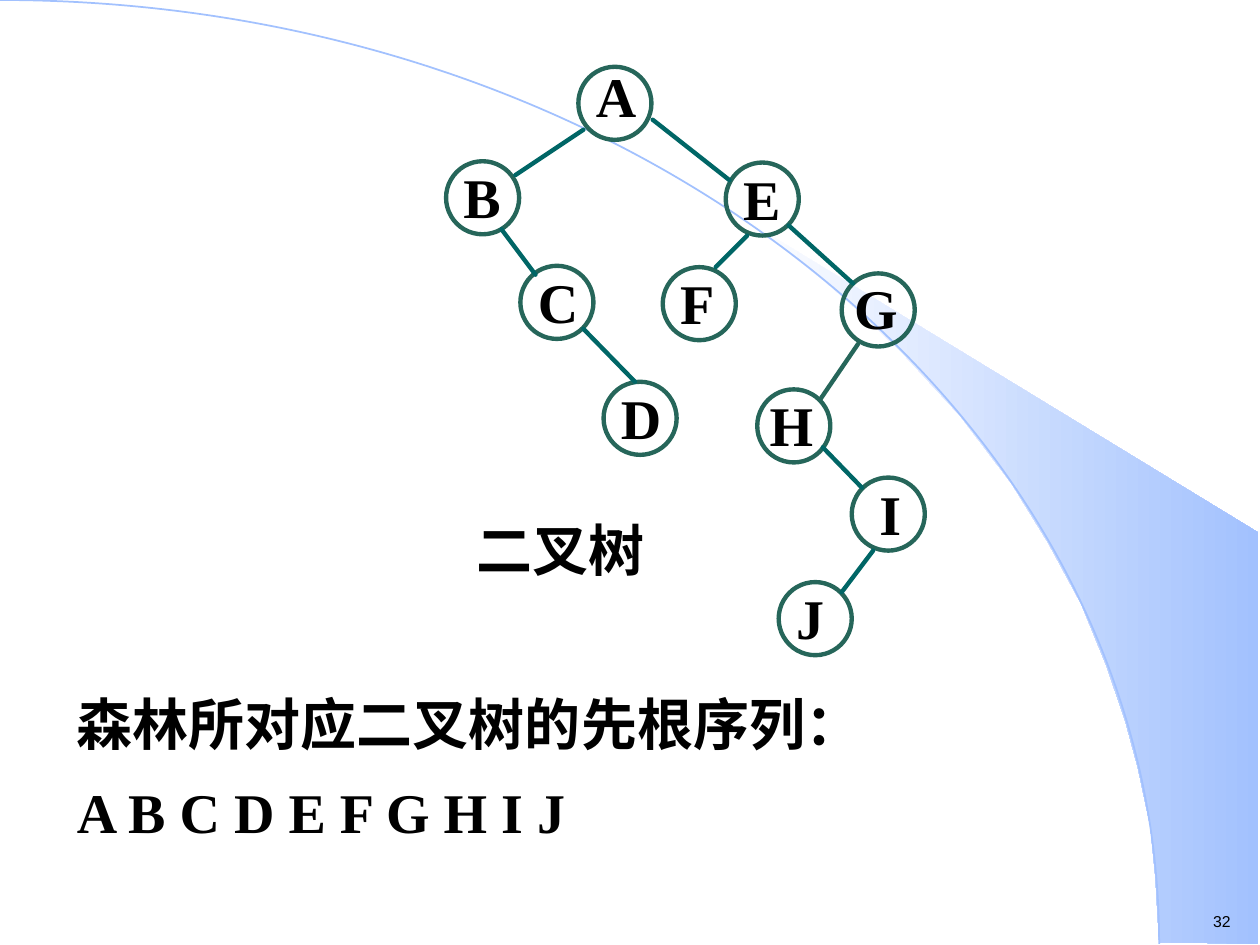
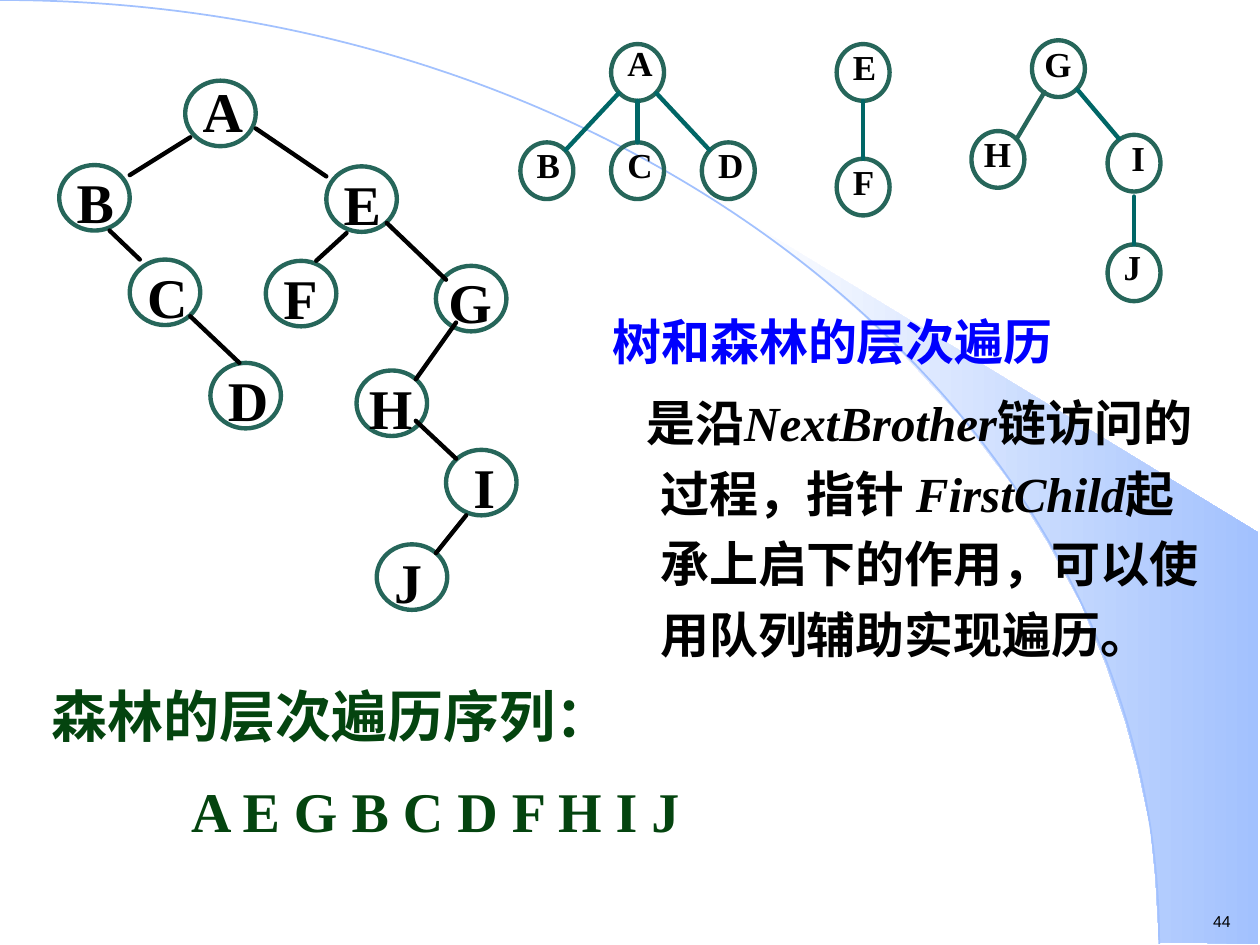
"""Build two slides on traversing a forest and its binary tree."""
from lxml import etree
from pptx import Presentation
from pptx.dml.color import RGBColor
from pptx.enum.shapes import MSO_CONNECTOR, MSO_SHAPE
from pptx.enum.text import MSO_ANCHOR, MSO_AUTO_SIZE
from pptx.oxml.ns import qn
from pptx.util import Inches, Pt

OVAL = MSO_SHAPE.OVAL
STRAIGHT = MSO_CONNECTOR.STRAIGHT
TOP = MSO_ANCHOR.TOP
FIXED = MSO_AUTO_SIZE.NONE

WHITE = RGBColor(0xFF, 0xFF, 0xFF)
BLACK = RGBColor(0, 0, 0)
SKY = RGBColor(0xA2, 0xC1, 0xFE)
RING = RGBColor(0x26, 0x66, 0x5A)
LINK = RGBColor(0, 0x66, 0x66)
BLUE = RGBColor(0, 0, 0xFF)
GREEN = RGBColor(0x04, 0x44, 0x0F)
SERIF = "Times New Roman"
SANS = "Arial"

CURVE = [(0, 0), (5.08, 0), (9.2, 3.35), (9.2, 7.49)]
BAND = [
    (9.2, 7.48), (9.99, 7.49), (9.99, 4.23), (5.89, 1.73), (6.24, 1.99),
    (6.53, 2.22), (6.85, 2.5), (7.16, 2.8), (7.62, 3.3), (8.03, 3.84),
    (8.32, 4.31), (8.58, 4.79), (8.78, 5.28), (8.93, 5.72), (9.03, 6.09),
    (9.13, 6.56), (9.17, 6.96)]

SHIFT = {"G": 0, "H": 0, "I": 3}
RAISE = {"G": 0.5}
SINGLE = "AG"

BINARY = {
    "size": (0.58, 0.58), "font": 32, "tall": 0.69, "colour": LINK,
    "shift": 0.04, "raise": 0.09,
    "nodes": {
        "A": (4.59, 0.53), "B": (3.54, 1.28), "C": (4.13, 2.11),
        "D": (4.79, 3.03), "E": (5.76, 1.29), "F": (5.26, 2.12),
        "G": (6.68, 2.17), "H": (6.01, 3.09), "I": (6.76, 3.79),
        "J": (6.18, 4.62)},
    "edges": {
        "AB": (4.63, 1.03, 4.09, 1.39), "BC": (3.98, 1.82, 4.25, 2.18),
        "CD": (4.63, 2.61, 5.04, 3.03), "AE": (5.18, 0.95, 5.79, 1.43),
        "EF": (5.93, 1.87, 5.68, 2.12), "EG": (6.26, 1.79, 6.77, 2.25),
        "GH": (6.81, 2.73, 6.51, 3.17), "HI": (6.53, 3.55, 6.84, 3.87),
        "IJ": (6.93, 4.37, 6.68, 4.7)}}

SMALLER = {
    "size": (0.56, 0.52), "font": 32, "tall": 0.69, "colour": BLACK,
    "shift": 0.04, "raise": 0.08,
    "nodes": {
        "A": (1.47, 0.64), "B": (0.47, 1.31), "C": (1.03, 2.06),
        "D": (1.67, 2.88), "E": (2.59, 1.32), "F": (2.11, 2.07),
        "G": (3.46, 2.11), "H": (2.83, 2.94), "I": (3.54, 3.57),
        "J": (2.99, 4.32)},
    "edges": {
        "AB": (1.51, 1.09, 1.03, 1.39), "BC": (0.87, 1.83, 1.11, 2.06),
        "CD": (1.51, 2.51, 1.9, 2.88), "AE": (2.03, 1.02, 2.59, 1.4),
        "EF": (2.75, 1.85, 2.51, 2.07), "EG": (3.07, 1.77, 3.54, 2.22),
        "GH": (3.62, 2.56, 3.3, 3.01), "HI": (3.3, 3.34, 3.62, 3.64),
        "IJ": (3.7, 4.09, 3.46, 4.39)}}

FOREST = {
    "size": (0.42, 0.45), "font": 20, "tall": 0.47, "colour": LINK,
    "shift": 0.03, "raise": 0.07,
    "nodes": {
        "A": (4.85, 0.35), "B": (4.13, 1.13), "C": (4.85, 1.13),
        "D": (5.57, 1.13), "E": (6.64, 0.35), "F": (6.64, 1.26),
        "G": (8.19, 0.32), "H": (7.71, 1.04), "I": (8.79, 1.07),
        "J": (8.79, 1.94)},
    "edges": {
        "AB": (4.91, 0.74, 4.49, 1.19), "AC": (5.06, 0.8, 5.06, 1.13),
        "AD": (5.21, 0.74, 5.63, 1.19), "EF": (6.85, 0.8, 6.85, 1.26),
        "GH": (8.29, 0.73, 8.07, 1.1), "GI": (8.55, 0.71, 8.88, 1.1),
        "IJ": (9, 1.56, 9, 1.94)}}

NOTE = [("是沿", False), ("NextBrother", True), ("链访问的过程，指针 ", False),
        ("FirstChild", True), ("起承上启下的作用，可以使用队列辅助实现遍历。", False)]

SLIDES = [
    {"page": "32", "trees": [BINARY],
     "body": {"at": (0.51, 5.48, 7.28, 1.38), "size": 32, "line": 0.9,
              "gap": 16, "top": 0.05,
              "paras": [("森林所对应二叉树的先根序列：", BLACK, 0, 0),
                        ("A B C D E F G H I J", BLACK, 0, 0)]},
     "label": {"at": (3.68, 4.04, 1.83, 0.63), "size": 32, "line": 1,
               "gap": 0, "top": 0.05,
               "paras": [("二叉树", BLACK, 0, 0)]}},
    {"page": "44", "trees": [SMALLER, FOREST],
     "body": {"at": (4.76, 1.78, 5, 4.06), "size": 28, "line": 1.2,
              "gap": 6, "top": 0.6,
              "paras": [("树和森林的层次遍历", BLUE, 0, 0),
                        (NOTE, BLACK, 0.38, -0.11)]},
     "label": {"at": (0.31, 5.36, 7.67, 1.43), "size": 32, "line": 1,
               "gap": 16, "top": 0.05,
               "paras": [("森林的层次遍历序列：", GREEN, 0, 0),
                         ("A E G B C D F H I J", GREEN, 1.11, 0)]}}]


def outline(slide, points, close):
    spots = [(Inches(x), Inches(y)) for x, y in points]
    pen = slide.shapes.build_freeform(*spots[0])
    pen.add_line_segments(spots[1:], close=close)
    shape = pen.convert_to_shape()
    shape.shadow.inherit = False
    return shape


def backdrop(slide):
    band = outline(slide, BAND, True)
    band.line.fill.background()
    band.fill.gradient()
    band.fill.gradient_angle = 0
    for stop, colour in zip(band.fill.gradient_stops, (WHITE, SKY)):
        stop.color.rgb = colour
    edge = outline(slide, CURVE, False)
    edge.fill.background()
    edge.line.color.rgb = SKY
    edge.line.width = Pt(1)
    lines = list(edge._element.iter(qn("a:lnTo")))
    bend = etree.SubElement(lines[0].getparent(), qn("a:cubicBezTo"))
    for line in lines:
        bend.append(line[0])
        line.getparent().remove(line)


def style(font, size, colour, name=SERIF, bold=True):
    font.name, font.size, font.bold = name, Pt(size), bold
    font.color.rgb = colour


def number(slide, page):
    box = slide.shapes.add_textbox(*map(Inches, (9.53, 7.19, 0.35, 0.25)))
    para = box.text_frame.paragraphs[0]
    para.text = page
    style(para.font, 9, BLACK, SANS, False)


def write(box, text):
    box.left, box.top, box.width, box.height = map(Inches, text["at"])
    frame = box.text_frame
    frame.word_wrap = True
    frame.auto_size = FIXED
    frame.vertical_anchor = TOP
    frame.margin_top = Inches(text["top"])
    for index, (words, colour, left, first) in enumerate(text["paras"]):
        para = frame.add_paragraph() if index else frame.paragraphs[0]
        props = para._p.get_or_add_pPr()
        props.set("marL", str(Inches(left)))
        props.set("indent", str(Inches(first)))
        etree.SubElement(props, qn("a:buNone"))
        para.line_spacing = text["line"]
        para.space_before = Pt(text["gap"] if index else 0)
        style(para.font, text["size"], colour)
        runs = [(words, False)] if isinstance(words, str) else words
        for part, slant in runs:
            run = para.add_run()
            run.text = part
            if slant:
                run.font.italic = True


def node(slide, tree, name, spot):
    ring = slide.shapes.add_shape(OVAL, *map(Inches, spot + tree["size"]))
    ring.shadow.inherit = False
    ring.fill.background()
    ring.line.color.rgb = RING
    ring.line.width = Pt(2.5)
    x = spot[0] + tree["shift"] * SHIFT.get(name, 1)
    y = spot[1] - tree["raise"] * RAISE.get(name, 1)
    area = (x, y, tree["size"][0], tree["tall"])
    box = slide.shapes.add_textbox(*map(Inches, area))
    box.text_frame.word_wrap = True
    para = box.text_frame.paragraphs[0]
    para.text = name
    para.line_spacing = 1.0 if name in SINGLE else 1.1
    style(para.font, tree["font"], BLACK)


def draw(slide, tree):
    for name, spot in tree["nodes"].items():
        node(slide, tree, name, spot)
    for pair, ends in tree["edges"].items():
        link = slide.shapes.add_connector(STRAIGHT, *map(Inches, ends))
        forked = pair == "GH" and tree["colour"] == LINK
        link.line.color.rgb = RING if forked else tree["colour"]
        link.line.width = Pt(2.5)
        props = link._element.spPr
        props.find(qn("a:ln")).set("cap", "rnd")
        etree.SubElement(props, qn("a:effectLst"))


def main():
    deck = Presentation()
    deck.slide_width, deck.slide_height = Inches(10), Inches(7.5)
    layout = deck.slide_layouts[1]
    for page in SLIDES:
        slide = deck.slides.add_slide(layout)
        title = slide.shapes.title._element
        title.getparent().remove(title)
        backdrop(slide)
        number(slide, page["page"])
        body = slide.placeholders[1]
        slide.shapes._spTree.append(body._element)
        write(body, page["body"])
        area = map(Inches, page["label"]["at"])
        write(slide.shapes.add_textbox(*area), page["label"])
        for tree in page["trees"]:
            draw(slide, tree)
    deck.save("out.pptx")


if __name__ == "__main__":
    main()
